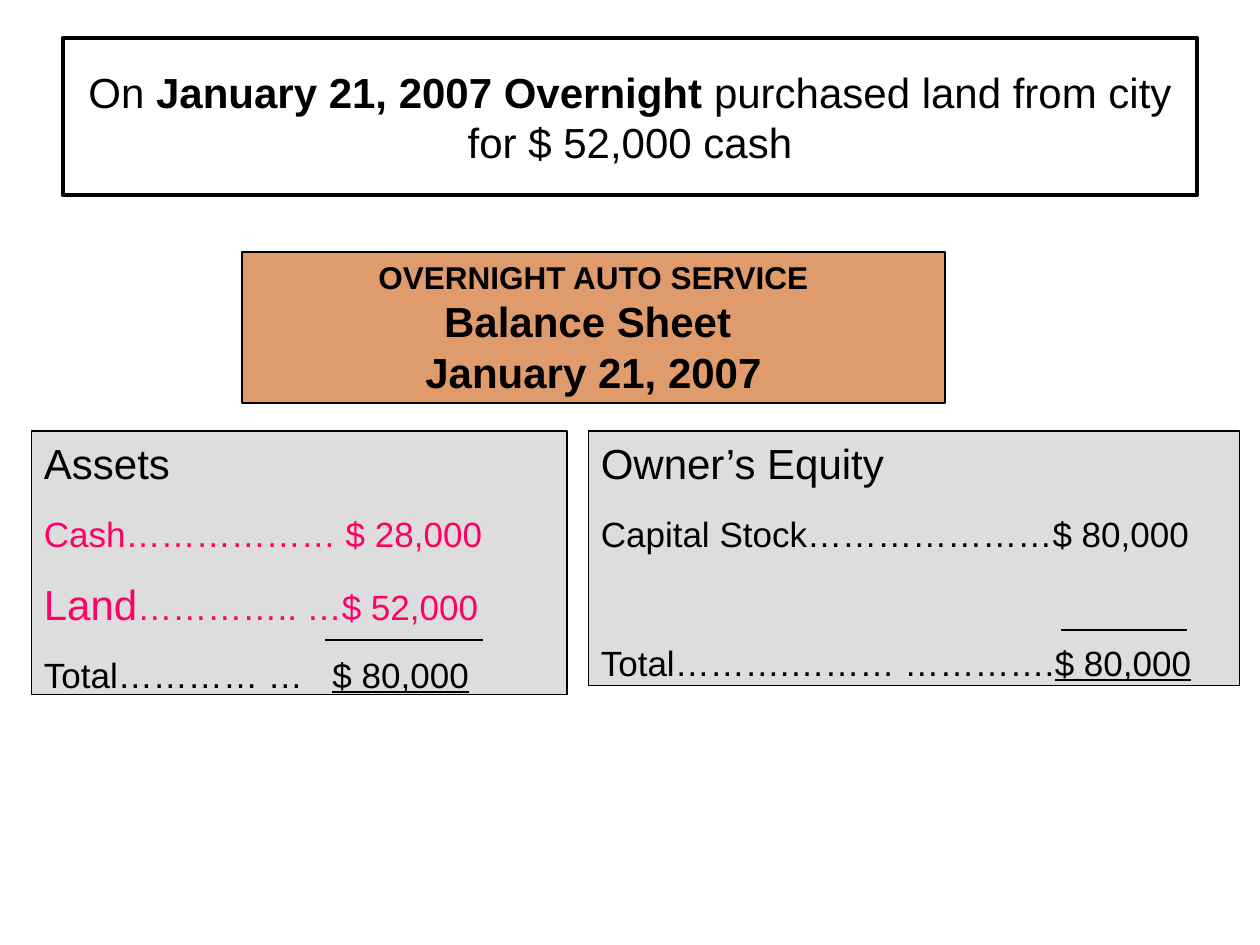
from lxml import etree
from pptx import Presentation
from pptx.dml.color import RGBColor
from pptx.enum.shapes import MSO_CONNECTOR, MSO_SHAPE
from pptx.enum.text import MSO_ANCHOR, PP_ALIGN
from pptx.oxml.ns import qn
from pptx.util import Inches, Pt

COLORS = {"ink": "000000", "header": "E09B6C", "panel": "DDDDDD", "changed": "FF0066"}
FONT = "Arial"
ENTRY_GAP = 14


def rgb(name):
    return RGBColor.from_string(COLORS[name])


def add_text(paragraph, text, size=20, color="ink", bold=False, underline=False):
    run = paragraph.add_run()
    run.text = text
    font = run.font
    font.name, font.size = FONT, Pt(size)
    font.bold, font.underline = bold, underline
    font.color.rgb = rgb(color)


class SheetSlide:
    def __init__(self, slide):
        self.slide = slide

    def box(self, left, top, width, height, fill=None, border=0.75, anchor=MSO_ANCHOR.TOP):
        """Draw a bordered rectangle and return its text frame."""
        shape = self.slide.shapes.add_shape(
            MSO_SHAPE.RECTANGLE, Inches(left), Inches(top), Inches(width), Inches(height))
        shape.shadow.inherit = False
        if fill:
            shape.fill.solid()
            shape.fill.fore_color.rgb = rgb(fill)
        else:
            shape.fill.background()
        shape.line.color.rgb = rgb("ink")
        shape.line.width = Pt(border)
        frame = shape.text_frame
        frame.word_wrap = True
        frame.vertical_anchor = anchor
        return frame

    def paragraph(self, frame, *runs, first=False, align=PP_ALIGN.LEFT, before=0, tab=None):
        """Write one paragraph from (text, format) pairs."""
        paragraph = frame.paragraphs[0] if first else frame.add_paragraph()
        paragraph.alignment = align
        if before:
            paragraph.space_before = Pt(before)
        if tab:
            stops = etree.SubElement(paragraph._p.get_or_add_pPr(), qn("a:tabLst"))
            etree.SubElement(stops, qn("a:tab"), pos=str(Inches(tab)), algn="l")
        for text, style in runs:
            add_text(paragraph, text, **style)

    def account(self, left, width, height, heading, entries):
        """Draw one side of the balance sheet."""
        frame = self.box(left, 3.42, width, height, fill="panel")
        self.paragraph(frame, (heading, {"size": 24}), first=True)
        for runs, layout in entries:
            self.paragraph(frame, *runs, **{"before": ENTRY_GAP, **layout})

    def sum_rule(self, left, right, y):
        rule = self.slide.shapes.add_connector(
            MSO_CONNECTOR.STRAIGHT, Inches(left), Inches(y), Inches(right), Inches(y))
        rule.line.color.rgb = rgb("ink")
        rule.line.width = Pt(0.75)
        etree.SubElement(rule._element.spPr, qn("a:effectLst"))


def main():
    deck = Presentation()
    deck.slide_width, deck.slide_height = Inches(10), Inches(7.5)
    sheet = SheetSlide(deck.slides.add_slide(deck.slide_layouts[6]))

    # Transaction
    transaction = sheet.box(0.5, 0.3, 9, 1.25, border=2.25, anchor=MSO_ANCHOR.MIDDLE)
    sheet.paragraph(
        transaction,
        ("On ", {"size": 24}),
        ("January 21, 2007 Overnight", {"size": 24, "bold": True}),
        (" purchased land from city for $ 52,000 cash", {"size": 24}),
        first=True, align=PP_ALIGN.CENTER)

    # Statement heading
    heading = sheet.box(1.92, 2, 5.58, 1.2, fill="header", border=1.5)
    titles = [("OVERNIGHT AUTO SERVICE", 18), ("Balance Sheet ", 24), ("January 21, 2007", 24)]
    for index, (text, size) in enumerate(titles):
        sheet.paragraph(heading, (text, {"size": size, "bold": True}),
                        first=index == 0, align=PP_ALIGN.CENTER)

    # Both sides of the balance sheet
    changed = {"color": "changed"}
    total = ("$ 80,000", {"underline": True})
    sheet.account(0.25, 4.25, 2.09, "Assets", [
        ([("Cash……………… $ 28,000", changed)], {}),
        ([("Land", {"size": 24, **changed}), ("………….. …$ 52,000", changed)], {}),
        ([("Total………… …\t", {}), total], {"tab": 2.29}),
    ])
    sheet.account(4.67, 5.17, 2.02, "Owner’s Equity", [
        ([("Capital Stock…………………$ 80,000", {})], {}),
        ([("Total……….……… ………….", {}), total], {"before": 50}),
    ])

    # Rules above the totals
    sheet.sum_rule(2.58, 3.83, 5.08)
    sheet.sum_rule(8.42, 9.42, 5)

    deck.save("out.pptx")


if __name__ == "__main__":
    main()
